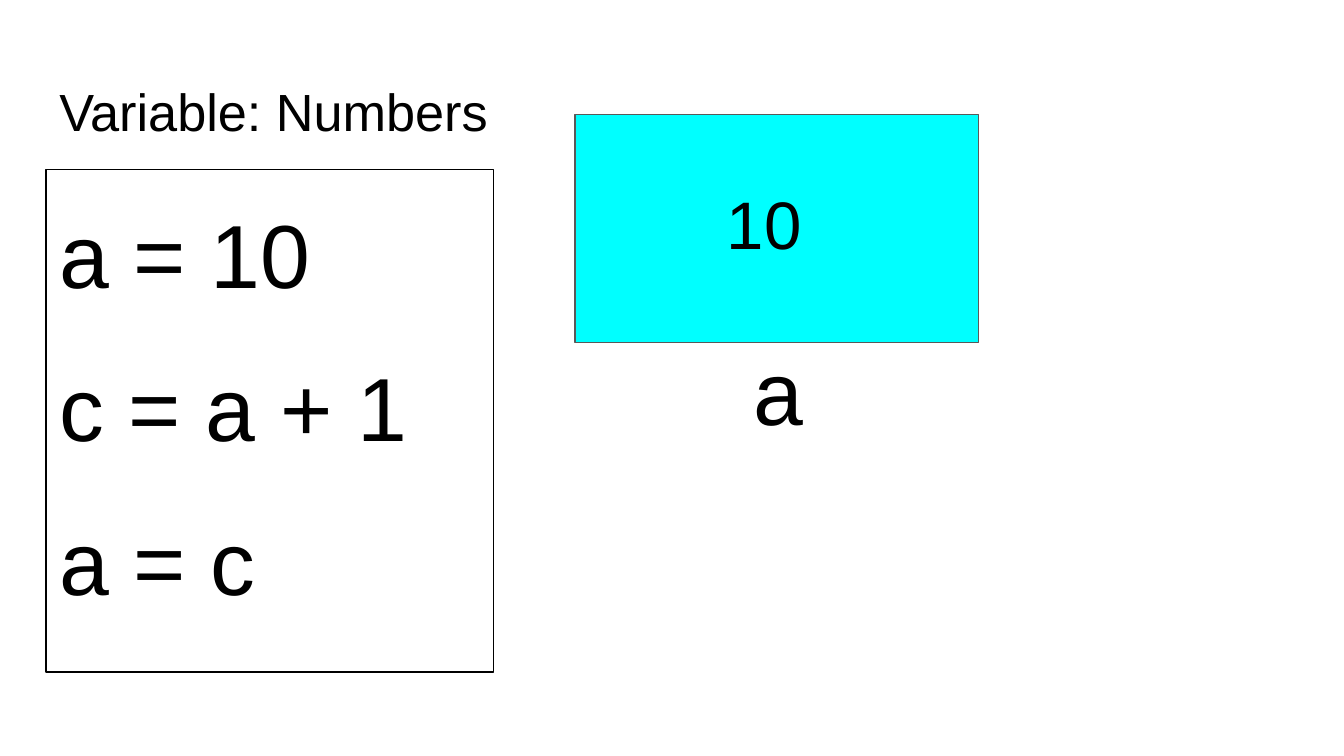
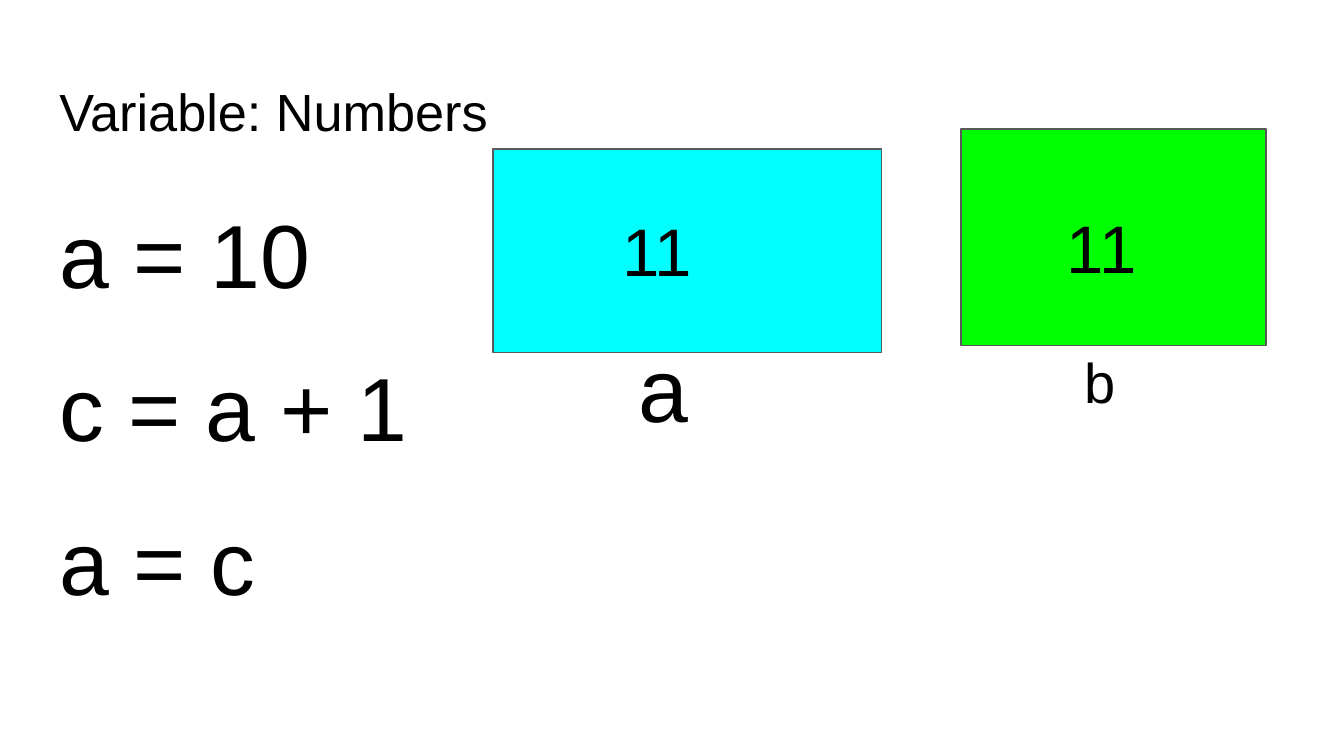
"""Build two slides that show how number variables change."""
from pptx import Presentation
from pptx.dml.color import RGBColor
from pptx.enum import shapes, text
from pptx.util import Cm, Pt

COLORS = {"ink": "000000", "edge": "595959", "cyan": "00FFFF", "green": "00FF00"}
FONT = "Arial"
INSET = Cm(0.25)


def write(holder, lines, size=28, spacing=1.0, after=0):
    frame = holder.text_frame
    frame.word_wrap = True
    frame.auto_size = text.MSO_AUTO_SIZE.NONE
    frame.vertical_anchor = text.MSO_ANCHOR.TOP
    frame.margin_left = frame.margin_right = INSET
    frame.margin_top = frame.margin_bottom = INSET
    for number, line in enumerate(lines):
        paragraph = frame.paragraphs[0] if number == 0 else frame.add_paragraph()
        paragraph.alignment = text.PP_ALIGN.LEFT
        paragraph.line_spacing = spacing
        paragraph.space_before = Pt(0)
        paragraph.space_after = Pt(after)
        run = paragraph.add_run()
        run.text = line
        run.font.name = FONT
        run.font.size = Pt(size)
        run.font.color.rgb = RGBColor.from_string(COLORS["ink"])


def place(holder, box):
    holder.left, holder.top, holder.width, holder.height = [Cm(side) for side in box]


deck = Presentation()
deck.slide_width, deck.slide_height = Cm(25.4), Cm(14.29)
layout = deck.slide_layouts[1]
heading, code = layout.placeholders[0], layout.placeholders[1]
place(heading, (0.87, 1.24, 23.67, 1.6))
place(code, (0.87, 3.2, 8.46, 9.5))
for level in code.text_frame._txBody.iter("{http://schemas.openxmlformats.org/drawingml/2006/main}lvl1pPr"):
    level.getparent().remove(level)

slides = [
    {"framed": True, "variables": [
        {"fill": "cyan", "box": (10.87, 2.16, 7.62, 4.32),
         "value": ("10", 36, (13.49, 3.2, 2.39, 1.6)),
         "name": ("a", 48, (14, 6.1, 2.26, 1.65))},
    ]},
    {"framed": False, "variables": [
        {"fill": "cyan", "box": (9.32, 2.82, 7.34, 3.84),
         "value": ("11", 36, (11.51, 3.71, 2.39, 1.6)),
         "name": ("a", 48, (11.81, 6.05, 2.26, 1.65))},
        {"fill": "green", "box": (18.16, 2.44, 5.77, 4.09),
         "value": ("11", 36, (19.91, 3.66, 3.35, 1.65)),
         "name": ("b", 30, (20.24, 6.32, 2.69, 2.46))},
    ]},
]

for content in slides:
    slide = deck.slides.add_slide(layout)
    write(slide.shapes.title, ["Variable: Numbers"])
    statements = slide.placeholders[1]
    write(statements, ["a = 10", "c = a + 1", "a = c"], size=48, spacing=1.15, after=16)
    for paragraph in statements.text_frame.paragraphs:
        properties = paragraph._p.get_or_add_pPr()
        properties.set("marL", "0")
        properties.set("indent", "0")
        properties.append(properties.makeelement(
            "{http://schemas.openxmlformats.org/drawingml/2006/main}buNone", {}))
    if content["framed"]:
        statements.line.color.rgb = RGBColor.from_string(COLORS["ink"])
        statements.line.width = Pt(0.75)

    for variable in content["variables"]:
        memory = slide.shapes.add_shape(
            shapes.MSO_SHAPE.RECTANGLE, *[Cm(side) for side in variable["box"]])
        memory.shadow.inherit = False
        memory.fill.solid()
        memory.fill.fore_color.rgb = RGBColor.from_string(COLORS[variable["fill"]])
        memory.line.color.rgb = RGBColor.from_string(COLORS["edge"])
        memory.line.width = Pt(0.75)
        for part in ("value", "name"):
            label, size, box = variable[part]
            write(slide.shapes.add_textbox(*[Cm(side) for side in box]), [label], size=size)

deck.save("out.pptx")
